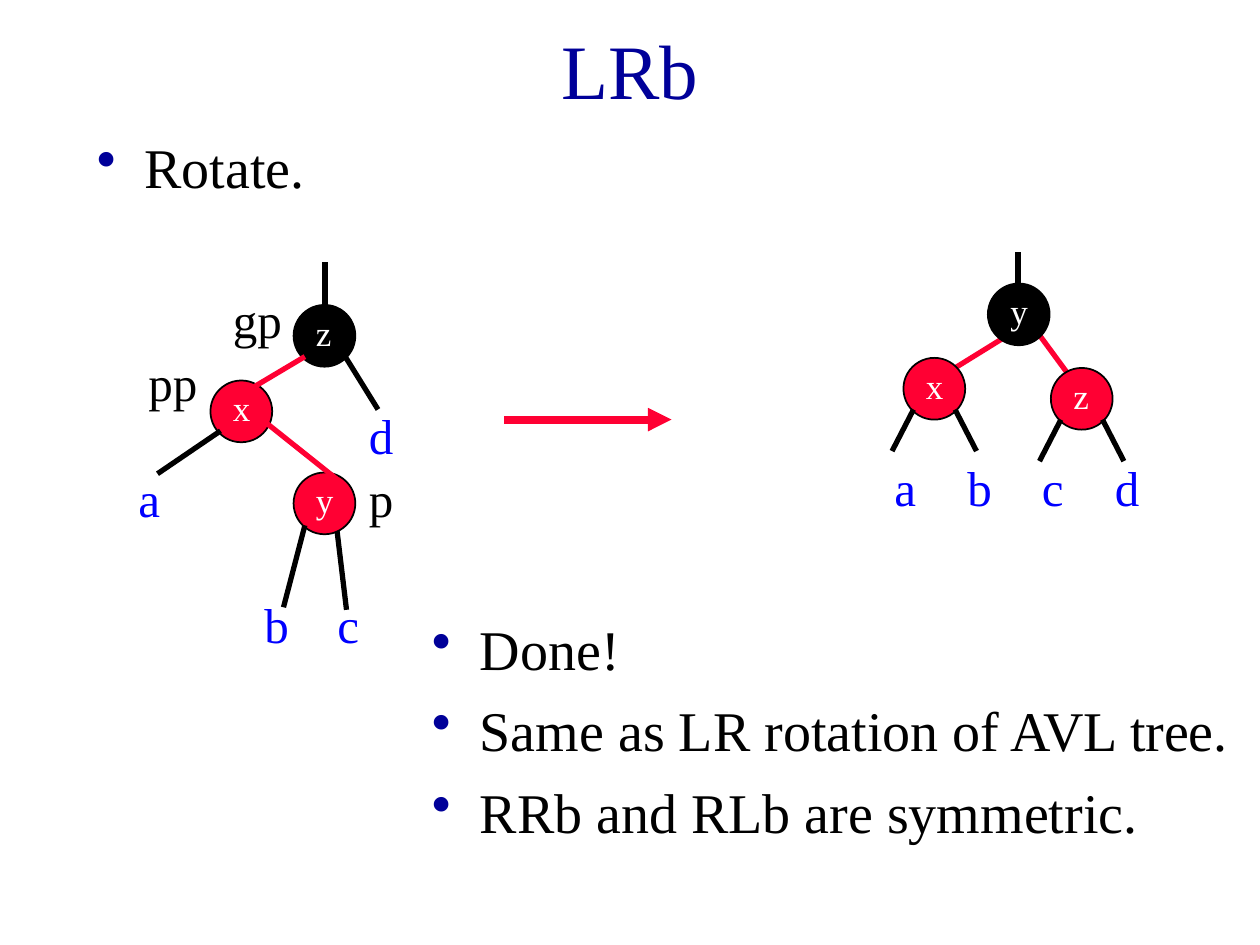
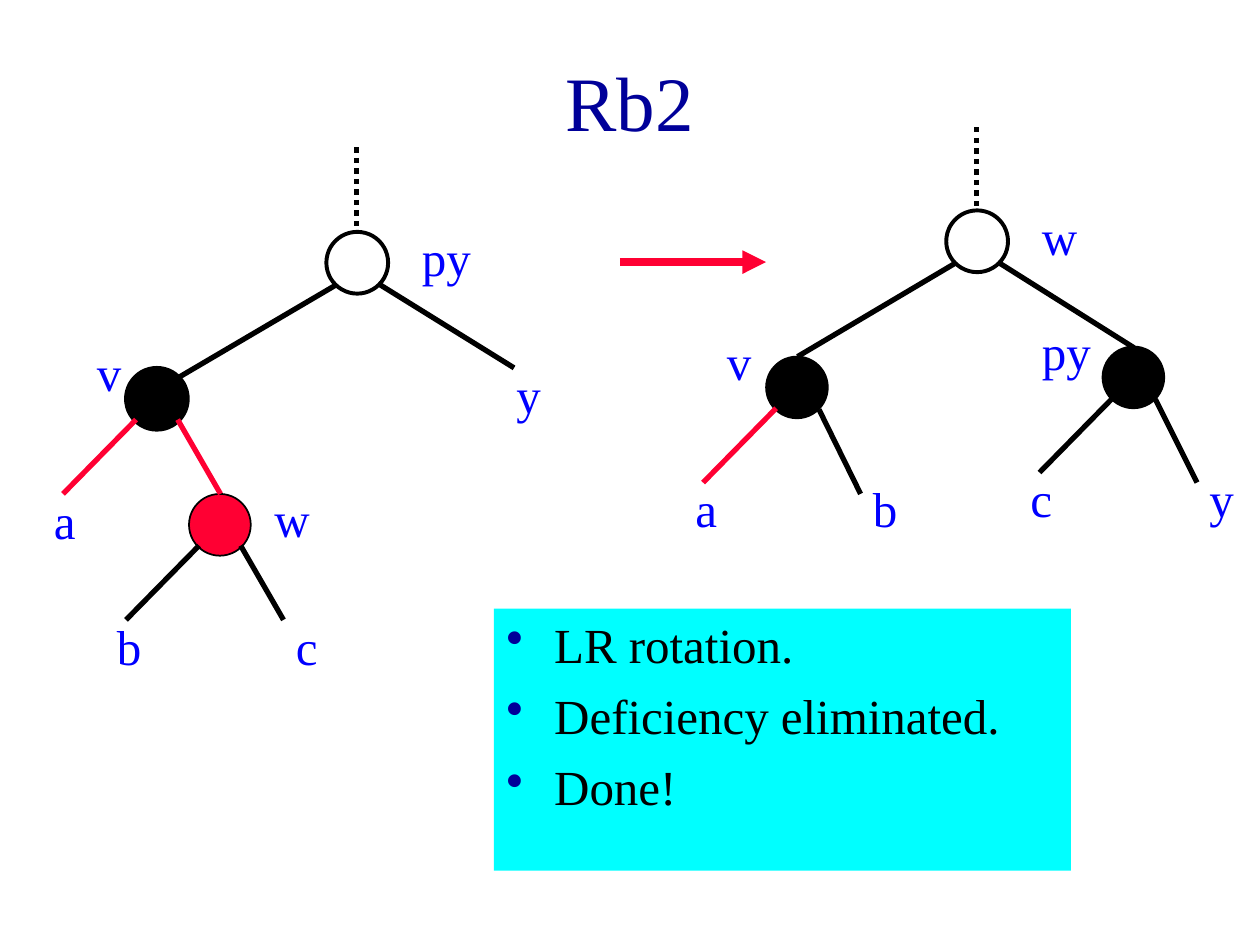
"""Build two slides on red-black tree rotations."""
from dataclasses import dataclass

from lxml import etree
from pptx import Presentation
from pptx.dml.color import RGBColor
from pptx.enum.dml import MSO_LINE
from pptx.enum.shapes import MSO_CONNECTOR, MSO_SHAPE
from pptx.enum.text import MSO_ANCHOR, MSO_AUTO_SIZE, PP_ALIGN
from pptx.oxml.ns import qn
from pptx.util import Inches, Pt

STRAIGHT = MSO_CONNECTOR.STRAIGHT
OVAL = MSO_SHAPE.OVAL
DOTTED = MSO_LINE.ROUND_DOT
MIDDLE, TOP = MSO_ANCHOR.MIDDLE, MSO_ANCHOR.TOP
CENTER, LEFT = PP_ALIGN.CENTER, PP_ALIGN.LEFT
GROW, FIXED = MSO_AUTO_SIZE.SHAPE_TO_FIT_TEXT, MSO_AUTO_SIZE.NONE


@dataclass(frozen=True)
class Theme:
    """Colours, type sizes and measures shared by the slides."""

    font: str = "Times New Roman"
    navy: str = "000099"
    blue: str = "0000FF"
    red: str = "FF0033"
    black: str = "000000"
    white: str = "FFFFFF"
    cyan: str = "00FFFF"
    title_size: int = 44
    body_size: int = 32
    label_size: int = 28
    key_size: int = 20
    edge_width: float = 3
    arrow_width: float = 4.5
    outline: float = 1
    bold_outline: float = 2.25
    node: float = 0.49
    label_width: float = 0.5


THEME = Theme()


def apply_format(target, values):
    """Set every attribute in values on target."""
    for attribute, value in values.items():
        setattr(target, attribute, value)


def add_text(shapes, lines, box, size, color, before=0, frame_format=None, align=LEFT):
    """Add a wrapped text box with one paragraph for each line."""
    text_box = shapes.add_textbox(*map(Inches, box))
    frame = text_box.text_frame
    apply_format(frame, {"word_wrap": True, "auto_size": FIXED, "vertical_anchor": TOP,
                         **(frame_format or {})})
    for index, line in enumerate(lines):
        paragraph = frame.add_paragraph() if index else frame.paragraphs[0]
        apply_format(paragraph, {"alignment": align, "space_before": Pt(before)})
        run = paragraph.add_run()
        run.text = line
        apply_format(run.font, {"name": THEME.font, "size": Pt(size)})
        run.font.color.rgb = RGBColor.from_string(color)
    return text_box


def add_title(slide, title, height):
    """Add the centred slide title."""
    add_text(slide.shapes, [title], (0.75, 0.17, 8.5, height), THEME.title_size,
             THEME.navy, frame_format={"vertical_anchor": MIDDLE}, align=CENTER)


def add_bullets(slide, lines, box, size, fill=None):
    """Add a bulleted list, on a filled panel if a fill is given."""
    panel = add_text(slide.shapes, lines, box, size, THEME.black, before=size / 4)
    if fill:
        panel.fill.solid()
        panel.fill.fore_color.rgb = RGBColor.from_string(fill)
    for paragraph in panel.text_frame.paragraphs:
        properties = paragraph._p.get_or_add_pPr()
        properties.set("marL", str(Inches(0.38)))
        properties.set("indent", str(-Inches(0.38)))
        bullet_color = etree.SubElement(properties, qn("a:buClr"))
        etree.SubElement(bullet_color, qn("a:srgbClr"), val=THEME.navy)
        etree.SubElement(properties, qn("a:buChar"), char="•")


def add_edge(shapes, start, end, color=THEME.black, dash=None, width=THEME.edge_width):
    """Add a straight line between two points."""
    edge = shapes.add_connector(STRAIGHT, *map(Inches, (*start, *end)))
    edge.line.color.rgb = RGBColor.from_string(color)
    edge.line.width = Pt(width)
    if dash:
        edge.line.dash_style = dash
    etree.SubElement(edge._element.spPr, qn("a:effectLst"))
    return edge


def add_arrow(slide, start, end):
    """Add the red arrow from one tree to the next."""
    arrow = add_edge(slide.shapes, start, end, THEME.red, width=THEME.arrow_width)
    etree.SubElement(arrow.line._get_or_add_ln(), qn("a:tailEnd"), type="triangle")


def add_node(shapes, left, top, fill=None, key=None, outline=THEME.outline):
    """Add a round tree node with its key in white."""
    node = shapes.add_shape(OVAL, *map(Inches, (left, top, THEME.node, THEME.node)))
    node.shadow.inherit = False
    node.line.color.rgb = RGBColor.from_string(THEME.black)
    node.line.width = Pt(outline)
    if fill:
        node.fill.solid()
        node.fill.fore_color.rgb = RGBColor.from_string(fill)
    else:
        node.fill.background()
    if key:
        add_text(shapes, [key], (left + 0.08, top, 0.5, 0.43), THEME.key_size,
                 THEME.white, before=12.5, frame_format={"auto_size": GROW})


def add_label(shapes, name, left, top, width=THEME.label_width, color=THEME.blue):
    """Add the name of a subtree or node."""
    add_text(shapes, [name], (left, top, width, 0.57), THEME.label_size, color,
             before=17.5, frame_format={"auto_size": GROW})


def add_tree(slide, nodes, edges, labels, hidden_edges=()):
    """Add a grouped tree; hidden_edges run behind the nodes."""
    shapes = slide.shapes.add_group_shape().shapes
    layers = ((add_edge, hidden_edges), (add_node, nodes),
              (add_edge, edges), (add_label, labels))
    for add_part, parts in layers:
        for part in parts:
            add_part(shapes, *part)


def build_lrb(slide):
    """Build the LRb rotation slide."""
    red, black = THEME.red, THEME.black
    add_title(slide, "LRb", 0.75)
    add_bullets(slide, ["Rotate."], (0.67, 1, 8.5, 0.92), THEME.body_size)
    add_arrow(slide, (4, 3.33), (5.33, 3.33))
    add_bullets(slide, ["Done!", "Same as LR rotation of AVL tree.",
                        "RRb and RLb are symmetric."],
                (3.33, 4.83, 8.5, 0.92), THEME.body_size)
    add_tree(
        slide,
        nodes=[(7.84, 2.25, black, "y"), (7.17, 2.84, red, "x"), (8.34, 2.92, red, "z")],
        hidden_edges=[((8, 2.66), (7.58, 2.92), red), ((8.25, 2.66), (8.5, 3), red)],
        edges=[((8.08, 2), (8.08, 2.33)),
               ((7.25, 3.25), (7.08, 3.58)), ((7.58, 3.25), (7.75, 3.58)),
               ((8.42, 3.33), (8.25, 3.66)), ((8.75, 3.33), (8.92, 3.66))],
        labels=[("a", 7, 3.58), ("b", 7.58, 3.58), ("c", 8.17, 3.58), ("d", 8.75, 3.58)])
    add_tree(
        slide,
        nodes=[(2.33, 3.75, red, "y"), (1.67, 3.02, red, "x"), (2.33, 2.42, black, "z")],
        hidden_edges=[((2.67, 4.17), (2.75, 4.84)), ((2.58, 2.08), (2.58, 2.42))],
        edges=[((2.08, 3.33), (2.67, 3.8), red), ((2.42, 2.83), (2, 3.08), red),
               ((1.75, 3.42), (1.25, 3.76)), ((2.42, 4.17), (2.25, 4.82)),
               ((2.74, 2.83), (3, 3.25))],
        labels=[("a", 1, 3.67), ("b", 2, 4.67), ("c", 2.58, 4.67), ("d", 2.83, 3.17),
                ("gp", 1.75, 2.25, 0.67, black), ("pp", 1.08, 2.75, 0.75, black),
                ("p", 2.83, 3.67, 0.42, black)])


def build_rb2(slide):
    """Build the Rb2 deficiency slide."""
    red, black, bold = THEME.red, THEME.black, THEME.bold_outline
    add_title(slide, "Rb2", 1.25)
    add_bullets(slide, ["LR rotation.", "Deficiency eliminated.", "Done!"],
                (3.92, 4.83, 4.58, 2.08), THEME.label_size, THEME.cyan)
    add_arrow(slide, (4.92, 2.08), (6.08, 2.08))
    add_tree(
        slide,
        nodes=[(2.59, 1.84, None, None, bold), (1, 2.92, black, None, bold),
               (1.5, 3.92, red)],
        edges=[((2.83, 1.17), (2.83, 1.84), black, DOTTED),
               ((2.67, 2.26), (1.41, 3)), ((3, 2.25), (4.08, 2.92)),
               ((1.08, 3.33), (0.5, 3.92), red), ((1.41, 3.33), (1.75, 3.92), red),
               ((1.58, 4.33), (1, 4.92)), ((1.91, 4.33), (2.25, 4.92))],
        labels=[("py", 3.25, 1.76, 0.83), ("v", 0.67, 2.67), ("w", 2.08, 3.83),
                ("a", 0.33, 3.84), ("b", 0.83, 4.84), ("c", 2.25, 4.84), ("y", 4, 2.84)])
    add_tree(
        slide,
        nodes=[(7.51, 1.67, None, None, bold), (8.75, 2.75, black), (6.08, 2.83, black)],
        edges=[((7.75, 1.01), (7.75, 1.67), black, DOTTED),
               ((7.58, 2.09), (6.33, 2.83)), ((7.92, 2.08), (9, 2.76)),
               ((8.83, 3.16), (8.25, 3.75)), ((9.17, 3.17), (9.5, 3.83)),
               ((6.16, 3.24), (5.58, 3.83), red), ((6.5, 3.25), (6.83, 3.92))],
        labels=[("w", 8.17, 1.59, 0.83), ("py", 8.17, 2.5, 0.75), ("v", 5.67, 2.58, 0.75),
                ("a", 5.42, 3.75), ("b", 6.83, 3.75), ("c", 8.08, 3.67), ("y", 9.5, 3.67)])


def main():
    """Build and save the presentation."""
    deck = Presentation()
    apply_format(deck, {"slide_width": Inches(10), "slide_height": Inches(7.5)})
    for build in (build_lrb, build_rb2):
        build(deck.slides.add_slide(deck.slide_layouts[6]))
    deck.save("out.pptx")


if __name__ == "__main__":
    main()
